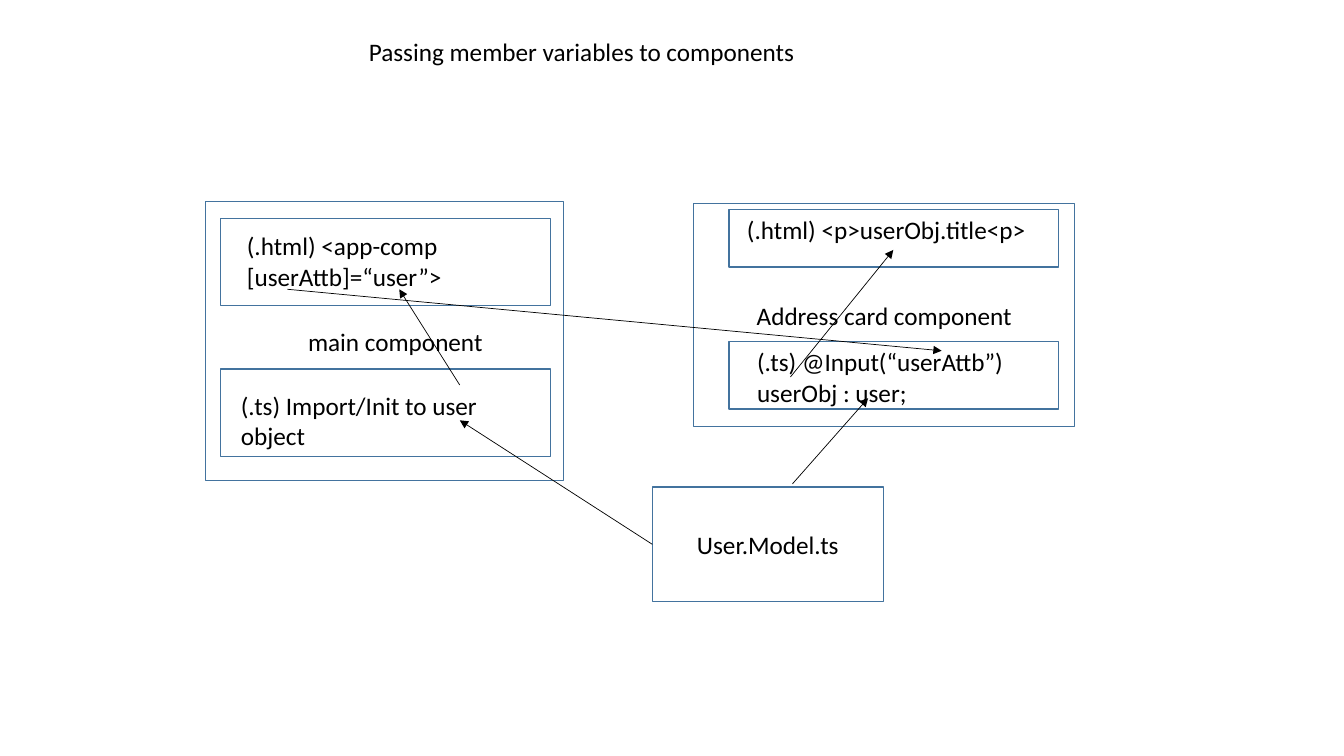
from pptx import Presentation
from pptx.dml.color import RGBColor
from pptx.enum.shapes import MSO_CONNECTOR, MSO_SHAPE
from pptx.enum.text import MSO_ANCHOR, MSO_AUTO_SIZE, PP_ALIGN
from pptx.oxml.ns import qn
from pptx.util import Inches, Pt
from lxml.etree import SubElement

COLORS = {"text": "000000", "border": "43739E", "arrow": "000000"}
INNER_WIDTH = 3.27


def write_text(text_frame, text, align=PP_ALIGN.LEFT, anchor=MSO_ANCHOR.TOP,
               font="Calibri", size=18, color=COLORS["text"], left_margin=0.1):
    text_frame.word_wrap = True
    text_frame.vertical_anchor = anchor
    text_frame.margin_left = Inches(left_margin)
    paragraph = text_frame.paragraphs[0]
    paragraph.text = text
    paragraph.alignment = align
    for run in paragraph.runs:
        run.font.name = font
        run.font.size = Pt(size)
        run.font.color.rgb = RGBColor.from_string(color)


class Diagram:
    def __init__(self, slide, colors):
        self.slide = slide
        self.colors = colors

    def box(self, left, top, width, height, text="", left_margin=0.1):
        shape = self.slide.shapes.add_shape(
            MSO_SHAPE.RECTANGLE, Inches(left), Inches(top), Inches(width), Inches(height))
        shape.shadow.inherit = False
        shape.fill.background()
        shape.line.color.rgb = RGBColor.from_string(self.colors["border"])
        shape.line.width = Pt(1)
        if text:
            write_text(shape.text_frame, text, align=PP_ALIGN.CENTER,
                       anchor=MSO_ANCHOR.MIDDLE, left_margin=left_margin)

    def label(self, left, top, width, height, text):
        shape = self.slide.shapes.add_textbox(
            Inches(left), Inches(top), Inches(width), Inches(height))
        write_text(shape.text_frame, text)
        shape.text_frame.auto_size = MSO_AUTO_SIZE.SHAPE_TO_FIT_TEXT

    def arrow(self, start, end):
        connector = self.slide.shapes.add_connector(
            MSO_CONNECTOR.STRAIGHT, *map(Inches, start + end))
        connector.line.color.rgb = RGBColor.from_string(self.colors["arrow"])
        connector.line.width = Pt(0.5)
        SubElement(connector.line._get_or_add_ln(), qn("a:tailEnd"), type="triangle")
        SubElement(connector._element.spPr, qn("a:effectLst"))


presentation = Presentation()
presentation.slide_width = Inches(13.33)
presentation.slide_height = Inches(7.5)
diagram = Diagram(presentation.slides.add_slide(presentation.slide_layouts[6]), COLORS)

diagram.box(2.04, 2, 3.55, 2.77, "main component", left_margin=0.31)
diagram.box(6.88, 2.02, 3.78, 2.21, "Address card component")
diagram.box(6.47, 4.83, 2.29, 1.14, "User.Model.ts")

code_blocks = [
    ((2.19, 3.66, 0.87), (2.29, 3.82, 3.09, 0.71), "(.ts) Import/Init to user object"),
    ((2.19, 2.17, 0.86), (2.35, 2.24, 2.96, 0.71), "(.html) <app-comp [userAttb]=“user”>"),
    ((7.23, 2.08, 0.57), (7.31, 2.08, 3.11, 0.4), "(.html) <p>userObj.title<p>"),
    ((7.23, 3.39, 0.67), (7.41, 3.39, 2.91, 0.71), "(.ts) @Input(“userAttb”)\nuserObj : user;"),
]
for (left, top, height), label_area, code in code_blocks:
    diagram.box(left, top, INNER_WIDTH, height)
    diagram.label(*label_area, code)

data_flows = [
    ((6.47, 5.4), (4.56, 4.17)),
    ((4.56, 3.82), (3.96, 2.87)),
    ((2.85, 2.87), (9.34, 3.48)),
    ((7.84, 3.74), (8.86, 2.48)),
    ((7.86, 4.8), (8.61, 3.95)),
]
for start, end in data_flows:
    diagram.arrow(start, end)

diagram.label(3.56, 0.31, 5.05, 0.4, "Passing member variables to components")

presentation.save("out.pptx")
